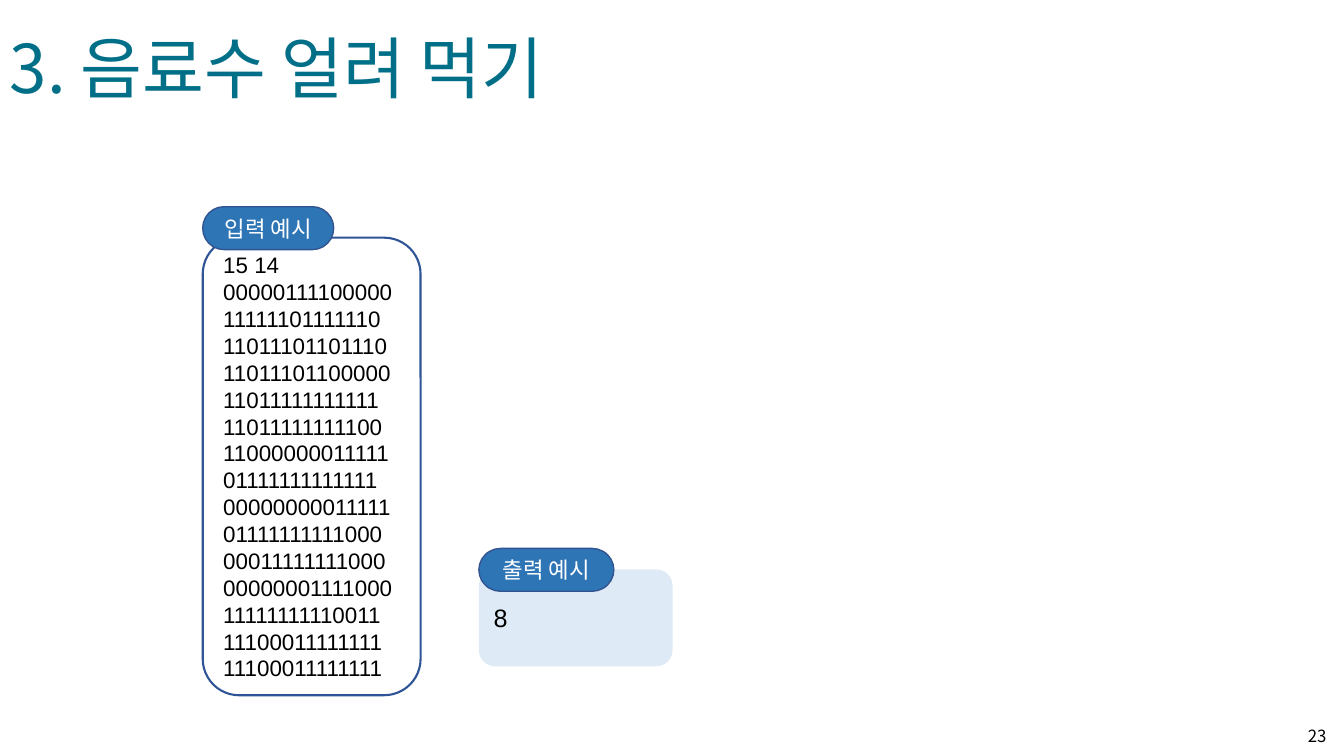
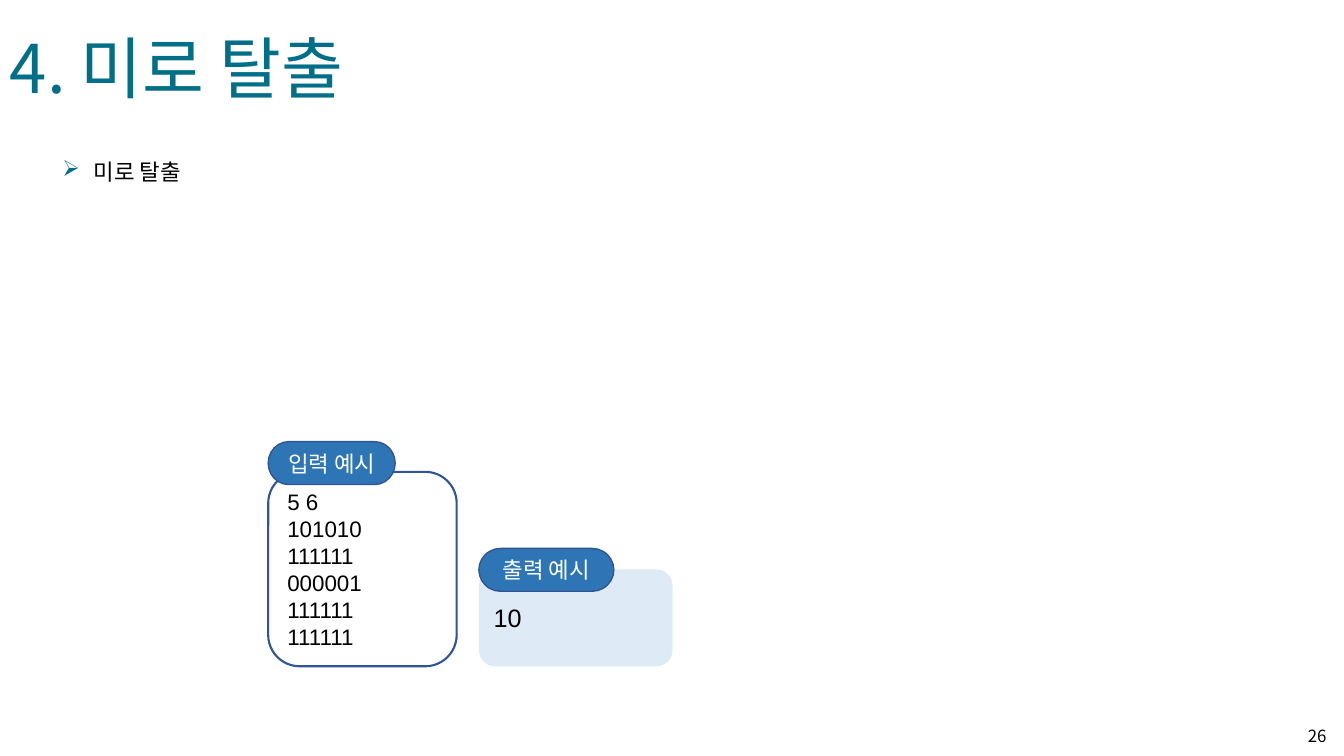
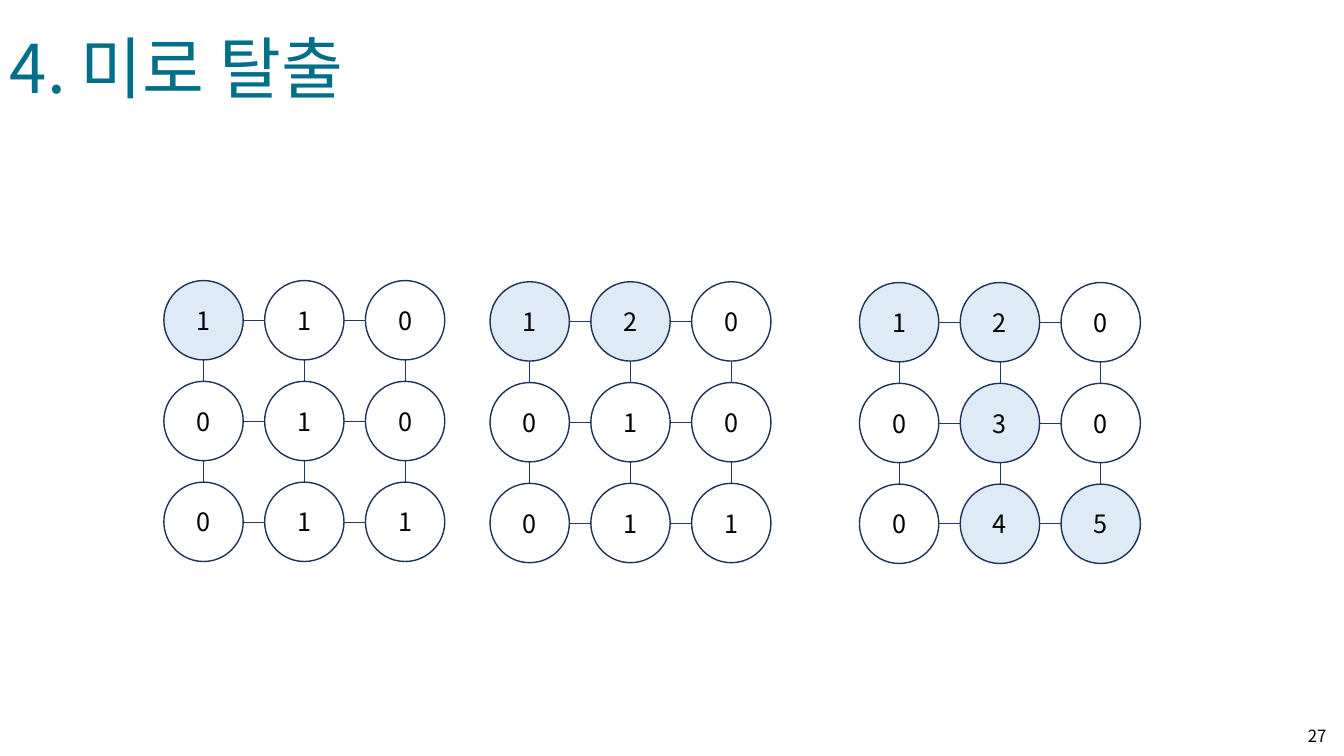
from dataclasses import dataclass
from itertools import product

from lxml.etree import SubElement
from pptx import Presentation
from pptx.dml.color import RGBColor
from pptx.enum.shapes import MSO_CONNECTOR, MSO_SHAPE as Preset
from pptx.enum.text import MSO_ANCHOR as Anchor, MSO_AUTO_SIZE as AutoSize, PP_ALIGN as Align
from pptx.oxml.ns import qn
from pptx.util import Cm, Pt

# Shared style
KOREAN, LATIN = "Noto Sans CJK KR", "Arial"
TEAL, BLACK, WHITE = "016F87", "000000", "FFFFFF"
PALE, TAG_FILL, TAG_LINE, PANEL_LINE = "DEEBF7", "2E75B6", "325491", "2F5597"
NODE_LINE, LINK_LINE = "1E3256", "203864"

# Node grid, in centimetres
NODE, PITCH, SIDE = 2.0, 2.54, 3


@dataclass
class Panel:
    """A rounded box of sample data with a tag over its top left corner."""
    label: str
    lines: str
    left: float
    top: float
    width: float
    height: float
    tag_width: float
    tag_rise: float
    fill: str = WHITE
    outline: str | None = PANEL_LINE
    size: int = 16


@dataclass
class Grid:
    """A square of linked nodes; visited holds (row, column) pairs."""
    left: float
    top: float
    rows: tuple[str, ...]
    visited: set[tuple[int, int]]


def rgb(code: str) -> RGBColor:
    return RGBColor.from_string(code)


def write(box, text: str, size: int, color: str = BLACK, font: str = KOREAN,
          align=Align.LEFT, anchor=Anchor.MIDDLE, wrap: bool = True) -> None:
    frame = box.text_frame
    frame.text = text
    frame.word_wrap = wrap
    frame.vertical_anchor = anchor
    for para in frame.paragraphs:
        para.alignment = align
        for span in para.runs:
            span.font.size = Pt(size)
            span.font.color.rgb = rgb(color)
            span.font.name = font
            SubElement(span.font._element, qn("a:ea"), typeface=font)


def add_box(shapes, preset, left: float, top: float, width: float, height: float,
            fill: str, outline: str | None, weight: float = 1):
    box = shapes.add_shape(preset, Cm(left), Cm(top), Cm(width), Cm(height))
    box.shadow.inherit = False
    box.fill.solid()
    box.fill.fore_color.rgb = rgb(fill)
    if outline:
        box.line.color.rgb = rgb(outline)
        box.line.width = Pt(weight)
    else:
        box.line.fill.background()
    return box


def add_link(shapes, x1: float, y1: float, x2: float, y2: float) -> None:
    link = shapes.add_connector(MSO_CONNECTOR.STRAIGHT, Cm(x1), Cm(y1), Cm(x2), Cm(y2))
    link.line.color.rgb = rgb(LINK_LINE)
    link.line.width = Pt(0.5)
    SubElement(link._element.spPr, qn("a:effectLst"))


def add_page(deck, title: str, title_width: float, number: int):
    page = deck.slides.add_slide(deck.slide_layouts[6])
    heading = page.shapes.add_textbox(Cm(0), Cm(0.53), Cm(title_width), Cm(2.31))
    write(heading, title, 48, TEAL, anchor=Anchor.TOP, wrap=False)
    heading.text_frame.auto_size = AutoSize.SHAPE_TO_FIT_TEXT
    footer = page.shapes.add_textbox(Cm(32.23), Cm(18.03), Cm(1.45), Cm(1.02))
    write(footer, str(number), 12, align=Align.RIGHT)
    return page


def add_bullet(page, text: str) -> None:
    box = page.shapes.add_textbox(Cm(1.32), Cm(3.18), Cm(31.72), Cm(1.45))
    write(box, text, 16, anchor=Anchor.TOP)
    box.text_frame.auto_size = AutoSize.SHAPE_TO_FIT_TEXT
    para = box.text_frame.paragraphs[0]
    para.line_spacing = 2.0
    props = para._p.get_or_add_pPr()
    props.set("marL", str(Cm(0.79)))
    props.set("indent", str(-Cm(0.79)))
    color = SubElement(props, qn("a:buClr"))
    SubElement(color, qn("a:srgbClr"), val=TEAL)
    SubElement(props, qn("a:buChar"), char="➢")


def add_panel(page, panel: Panel) -> None:
    shapes = page.shapes.add_group_shape().shapes
    body = add_box(shapes, Preset.ROUNDED_RECTANGLE, panel.left, panel.top,
                   panel.width, panel.height, panel.fill, panel.outline, 1.5)
    write(body, panel.lines, panel.size, font=LATIN)
    tag = add_box(shapes, Preset.FLOWCHART_TERMINATOR, panel.left,
                  panel.top - panel.tag_rise, panel.tag_width, 1.08, TAG_FILL, TAG_LINE)
    write(tag, panel.label, 16, WHITE, align=Align.CENTER)


def add_grid(page, grid: Grid) -> None:
    shapes = page.shapes.add_group_shape().shapes
    for row, column in product(range(SIDE), repeat=2):
        left, top = grid.left + column * PITCH, grid.top + row * PITCH
        fill = PALE if (row, column) in grid.visited else WHITE
        node = add_box(shapes, Preset.OVAL, left, top, NODE, NODE, fill, NODE_LINE)
        write(node, grid.rows[row][column], 18, align=Align.CENTER)
        middle_x, middle_y = left + NODE / 2, top + NODE / 2
        if column < SIDE - 1:
            add_link(shapes, left + NODE, middle_y, left + PITCH, middle_y)
        if row < SIDE - 1:
            add_link(shapes, middle_x, top + NODE, middle_x, top + PITCH)


def output_panel(answer: str) -> Panel:
    return Panel("출력 예시", answer, 12.07, 14.35, 4.88, 2.44, 3.4, 0.53,
                 fill=PALE, outline=None, size=18)


# Slide content
ICE_TRAY = """15 14
00000111100000
11111101111110
11011101101110
11011101100000
11011111111111
11011111111100
11000000011111
01111111111111
00000000011111
01111111111000
00011111111000
00000001111000
11111111110011
11100011111111
11100011111111"""

MAZE = """5 6
101010
111111
000001
111111
111111"""

GRIDS = [
    Grid(4.13, 7.07, ("110", "010", "011"), {(0, 0)}),
    Grid(12.35, 7.1, ("120", "010", "011"), {(0, 0), (0, 1)}),
    Grid(21.66, 7.12, ("120", "030", "045"), {(0, 0), (0, 1), (1, 1), (2, 1), (2, 2)}),
]


def main() -> None:
    deck = Presentation()
    deck.slide_width, deck.slide_height = Cm(33.87), Cm(19.05)

    # Frozen drinks: sample input and output
    page = add_page(deck, "3. 음료수 얼려 먹기", 14.76, 23)
    add_panel(page, output_panel("8"))
    add_panel(page, Panel("입력 예시", ICE_TRAY, 5.11, 5.99, 5.49, 11.53, 3.3, 0.78))

    # Maze escape: sample input and output
    maze_title, maze_width = "4. 미로 탈출", 9.5
    page = add_page(deck, maze_title, maze_width, 26)
    add_bullet(page, "미로 탈출")
    add_panel(page, Panel("입력 예시", MAZE, 6.76, 11.89, 4.75, 4.9, 3.2, 0.76))
    add_panel(page, output_panel("10"))

    # Maze escape: search steps
    page = add_page(deck, maze_title, maze_width, 27)
    for grid in GRIDS:
        add_grid(page, grid)

    deck.save("out.pptx")


if __name__ == "__main__":
    main()
